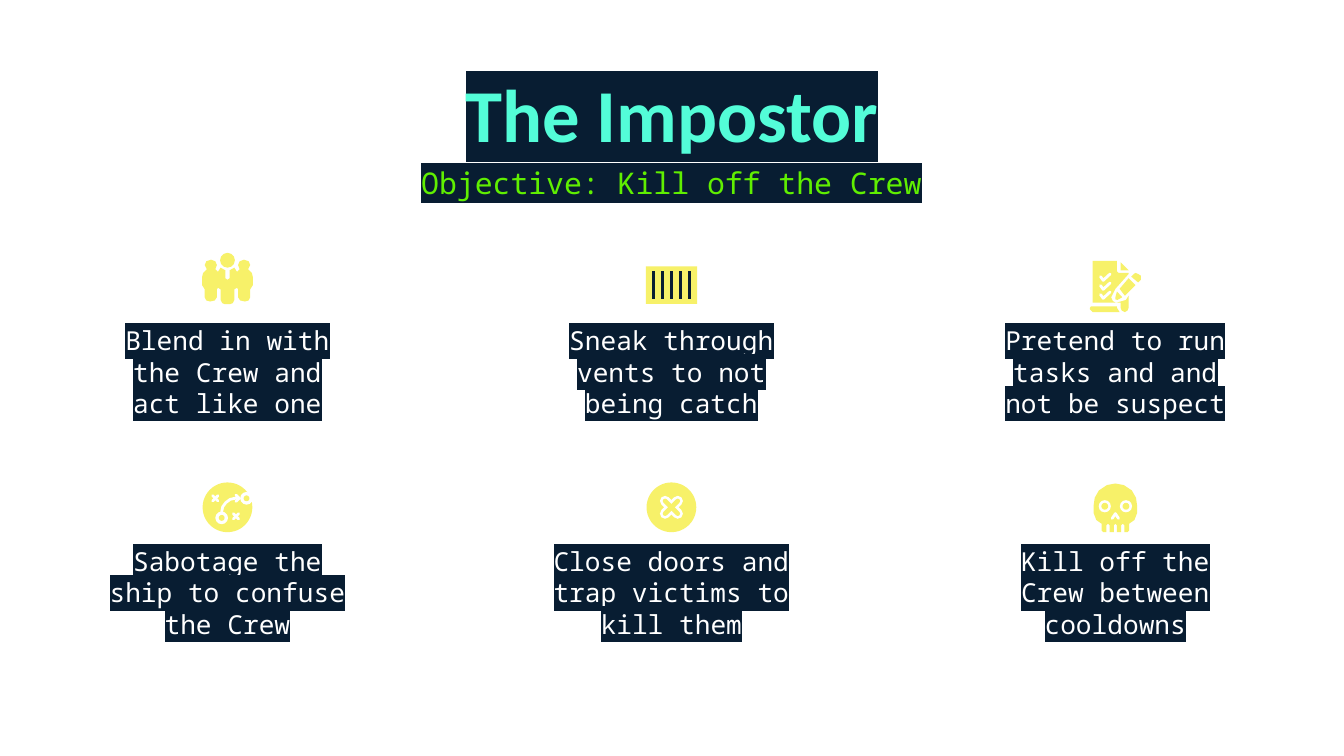
from lxml import etree
from pptx import Presentation
from pptx.dml.color import RGBColor
from pptx.enum.shapes import MSO_CONNECTOR, MSO_SHAPE
from pptx.enum.text import MSO_ANCHOR, PP_ALIGN
from pptx.oxml.ns import qn
from pptx.util import Cm, Pt

OVAL, RECT, STRAIGHT = MSO_SHAPE.OVAL, MSO_SHAPE.RECTANGLE, MSO_CONNECTOR.STRAIGHT
TOP, MIDDLE, CENTER = MSO_ANCHOR.TOP, MSO_ANCHOR.MIDDLE, PP_ALIGN.CENTER
NAVY = RGBColor(0x08, 0x1D, 0x32)
WHITE = RGBColor(0xFF, 0xFF, 0xFF)
YELLOW = RGBColor(0xF7, 0xF1, 0x69)
MINT = RGBColor(0x53, 0xFD, 0xD8)
GREEN = RGBColor(0x60, 0xEF, 0x01)
MONO = "Noto Sans Mono"

prs = Presentation()
prs.slide_width, prs.slide_height = Cm(25.4), Cm(14.29)
s = prs.slides.add_slide(prs.slide_layouts[6])


def block(kind, cx, cy, w, h, color):
    """Filled preset shape, placed by its centre in cm."""
    sp = s.shapes.add_shape(kind, Cm(cx - w / 2), Cm(cy - h / 2), Cm(w), Cm(h))
    sp.shadow.inherit = False
    sp.fill.solid()
    sp.fill.fore_color.rgb = color
    sp.line.fill.background()


def outline(x, y, pts, color=YELLOW, stroke=None):
    """Filled polygon, or open stroke; points in 0.01 cm from (x, y) in cm."""
    fb = s.shapes.build_freeform(*pts[0], scale=Cm(0.01))
    fb.add_line_segments(pts[1:], close=stroke is None)
    sp = fb.convert_to_shape(Cm(x), Cm(y))
    sp.shadow.inherit = False
    if stroke is None:
        sp.fill.solid()
        sp.fill.fore_color.rgb = color
        sp.line.fill.background()
    else:
        sp.fill.background()
        sp.line.color.rgb = color
        sp.line.width = Pt(stroke)
        sp._element.spPr.find(qn("a:ln")).set("cap", "rnd")


# Text: title, objective and a 3 x 2 grid of captions
cols = [2 + 8.39 * i for i in range(3)]
rows = [5.89, 10.06]
captions = [
    ["Blend in with the Crew and act like one",
     "Sneak through vents to not being catch",
     "Pretend to run tasks and and not be suspect"],
    ["Sabotage the ship to confuse the Crew",
     "Close doors and trap victims to kill them",
     "Kill off the Crew between cooldowns"],
]
texts = [
    ("The Impostor", (2, 1.03, 21.4, 1.6), TOP,
     dict(size=Pt(40), name="Calibri", bold=True), MINT),
    ("Objective: Kill off the Crew", (7.8, 3.16, 9.78, 0.58), MIDDLE,
     dict(size=Pt(16), name=MONO), GREEN),
]
for y, line in zip(rows, captions):
    for x, text in zip(cols, line):
        texts.append((text, (x, y, 4.6, 2.31), TOP,
                      dict(size=Pt(14), name=MONO), WHITE))

for text, box, anchor, font, color in texts:
    tf = s.shapes.add_textbox(*[Cm(v) for v in box]).text_frame
    frame = dict(word_wrap=True, vertical_anchor=anchor, margin_left=0,
                 margin_right=0, margin_top=Cm(0.25), margin_bottom=Cm(0.25))
    for key, value in frame.items():
        setattr(tf, key, value)
    p = tf.paragraphs[0]
    p.alignment = CENTER
    r = p.add_run()
    r.text = text
    for key, value in font.items():
        setattr(r.font, key, value)
    r.font.color.rgb = color
    # Highlight belongs right after the text fill
    hl = etree.Element(qn("a:highlight"))
    etree.SubElement(hl, qn("a:srgbClr")).set("val", str(NAVY))
    r._r.rPr.find(qn("a:solidFill")).addnext(hl)

# Icon centres
left, mid, right = [x + 2.3 for x in cols]
low = 9.59

# Crew icon: half outline, mirrored
crew = [(0, 51), (-4, 48), (-4, 33), (-13, 28), (-18, 36), (-23, 31), (-20, 23),
        (-23, 16), (-31, 13), (-40, 16), (-43, 23), (-39, 31), (-46, 38), (-48, 46),
        (-48, 61), (-43, 69), (-43, 84), (-40, 90), (-33, 92), (-24, 90), (-20, 84),
        (-20, 69), (-18, 66), (-13, 69), (-13, 89), (-10, 95), (-5, 97)]
outline(left, 4.78, crew + [(-x, y) for x, y in reversed(crew)])
block(OVAL, left, 4.92, 0.28, 0.28, YELLOW)

# Vent icon
block(RECT, mid, 5.39, 0.97, 0.71, YELLOW)
for i in range(5):
    x = mid - 0.34 + 0.17 * i
    c = s.shapes.add_connector(STRAIGHT, Cm(x), Cm(5.13), Cm(x), Cm(5.66))
    c.line.color.rgb = NAVY
    c.line.width = Pt(1.5)
    etree.SubElement(c._element.spPr, qn("a:effectLst"))

# Task list icon: page, fold, roll, then pencil tip, body and eraser
task_parts = [
    [(-43, 0), (3, 0), (3, 20), (6, 23), (25, 23), (25, 25), (0, 53), (-8, 69),
     (-5, 76), (0, 79), (3, 79), (20, 74), (25, 66), (25, 89), (23, 94), (18, 97),
     (12, 94), (10, 89), (10, 79), (-43, 79)],
    [(10, 3), (10, 18), (25, 18)],
    [(-46, 86), (-48, 89), (-48, 92), (-43, 97), (8, 97), (3, 89), (3, 86)],
    [(3, 58), (0, 69), (0, 73), (4, 74), (13, 69)],
    [(25, 33), (8, 53), (18, 66), (38, 46)],
    [(38, 23), (35, 25), (30, 30), (43, 41), (48, 36), (48, 28), (43, 25)],
]
for pts in task_parts:
    outline(right, 4.93, pts)
for dy in (0, 17, 34):
    outline(right, 4.93, [(-28, 30 + dy), (-23, 37 + dy), (-10, 25 + dy)], WHITE, 1.5)

# Strategy icon: disc, crosses, curved arrow, rings
block(OVAL, left, low, 0.94, 0.94, YELLOW)
for x, y in ((-23, -17), (16, 17)):
    for k in (-5, 5):
        outline(left, low, [(x - 5, y - k), (x + 5, y + k)], WHITE, 1.5)
outline(left, low, [(-11, 9), (-9, -1), (-3, -9), (5, -15), (14, -17), (22, -17)],
        WHITE, 1.5)
outline(left, low, [(16, -23), (22, -17), (16, -11)], WHITE, 1.5)
for x, y in ((-0.11, 0.2), (0.36, -0.17)):
    block(OVAL, left + x, low + y, 0.24, 0.24, WHITE)
    block(OVAL, left + x, low + y, 0.11, 0.11, YELLOW)

# Closed door icon: yellow cross with white rim
block(OVAL, mid, low, 0.94, 0.94, YELLOW)
for color, width in ((WHITE, 5.5), (YELLOW, 2.5)):
    for k in (-12, 12):
        outline(mid, low, [(-12, -k), (12, k)], color, width)

# Skull icon: half outline, mirrored
skull = [(0, 0), (-16, 3), (-31, 13), (-39, 27), (-41, 41), (-41, 56), (-36, 69),
         (-26, 76), (-26, 89), (-23, 92), (-17, 92), (-17, 79), (-14, 76), (-11, 79),
         (-11, 92), (-3, 92), (-3, 79), (0, 76)]
outline(right, 9.14, skull + [(-x, y) for x, y in reversed(skull)])
for dx in (-0.2, 0.2):
    block(OVAL, right + dx, 9.57, 0.23, 0.23, WHITE)
    block(OVAL, right + dx, 9.57, 0.13, 0.13, YELLOW)
outline(right, 9.14, [(-6, 66), (0, 57), (6, 66)], WHITE, 1.5)

prs.save("out.pptx")
